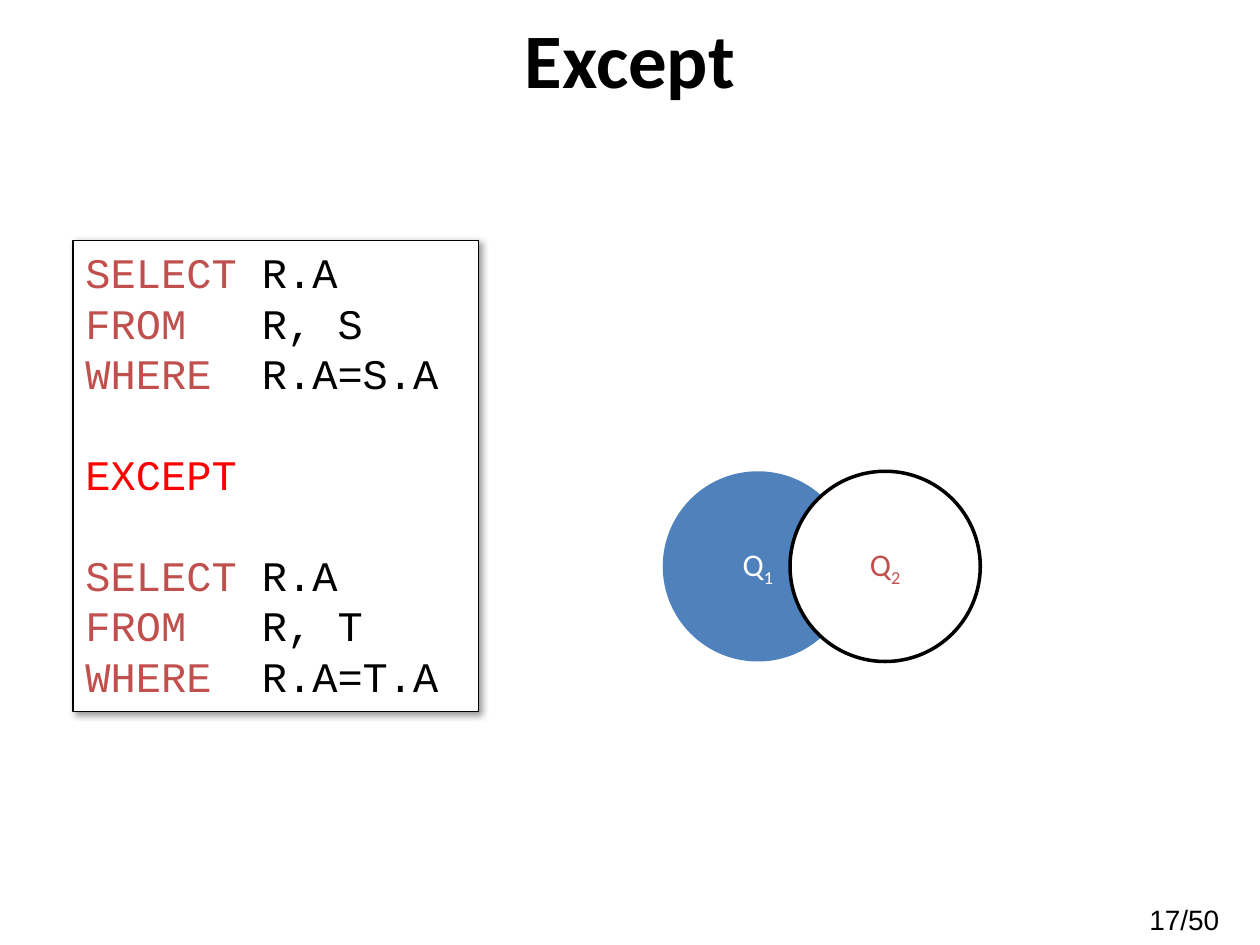
from lxml import etree
from pptx import Presentation
from pptx.dml.color import RGBColor
from pptx.enum.shapes import MSO_SHAPE
from pptx.enum.text import MSO_ANCHOR, PP_ALIGN
from pptx.oxml import parse_xml
from pptx.oxml.ns import nsdecls
from pptx.util import Inches, Pt

COLORS = {
    "black": "000000",
    "white": "FFFFFF",
    "keyword": "C0504D",
    "operator": "FF0000",
    "blue": "4F81BD",
}


def rgb(name):
    return RGBColor.from_string(COLORS[name])


class Deck:
    heading, body, code_font = "Calibri", "Arial", "Courier New"

    def __init__(self, prs):
        self.prs = prs
        self.s = prs.slides.add_slide(prs.slide_layouts[5])

    def font(self, font, name, size, color=None, bold=False):
        font.name, font.size, font.bold = name, Pt(size), bold
        if color:
            font.color.rgb = rgb(color)

    def title(self, text, box):
        sp = self.s.shapes.title
        sp.left, sp.top, sp.width, sp.height = map(Inches, box)
        tf = sp.text_frame
        tf.text = text
        tf.vertical_anchor = MSO_ANCHOR.MIDDLE
        p = tf.paragraphs[0]
        p.alignment = PP_ALIGN.CENTER
        self.font(p.font, self.heading, 44, "black", True)

    def page_number(self, text, box):
        tf = self.s.shapes.add_textbox(*map(Inches, box)).text_frame
        tf.word_wrap = True
        p = tf.paragraphs[0]
        p.text = text
        p.alignment = PP_ALIGN.CENTER
        self.font(p.font, self.body, 16, "black")

    def shape(self, shapes, kind, box, fill, line=None, width=0):
        sp = shapes.add_shape(kind, *map(Inches, box))
        sp.shadow.inherit = False
        sp.fill.solid()
        sp.fill.fore_color.rgb = rgb(fill)
        if line:
            sp.line.color.rgb = rgb(line)
            sp.line.width = Pt(width)
        else:
            sp.line.fill.background()
        return sp

    def drop_shadow(self, sp):
        effects = sp._element.spPr.find("{*}effectLst")
        shadow = parse_xml(
            f'<a:outerShdw {nsdecls("a")} blurRad="{Pt(4)}" dist="{Pt(1.41)}" '
            'dir="2700000" algn="tl" rotWithShape="0"/>')
        color = etree.SubElement(shadow, "{%s}srgbClr" % shadow.nsmap["a"], val=COLORS["black"])
        etree.SubElement(color, "{%s}alpha" % shadow.nsmap["a"], val="40000")
        effects.append(shadow)

    def code(self, lines, box):
        """Each line is a list of (text, colour) runs; an empty list is a blank code line."""
        sp = self.shape(self.s.shapes, MSO_SHAPE.RECTANGLE, box, "white", "black", 0.75)
        self.drop_shadow(sp)
        tf = sp.text_frame
        tf.vertical_anchor = MSO_ANCHOR.TOP
        for i, runs in enumerate(lines):
            p = tf.add_paragraph() if i else tf.paragraphs[0]
            p.alignment = PP_ALIGN.LEFT
            self.font(p.font, self.code_font, 24)
            for text, color in runs:
                r = p.add_run()
                r.text = text
                r.font.color.rgb = rgb(color)

    def circle(self, group, box, index, fill, color, line=None):
        sp = self.shape(group.shapes, MSO_SHAPE.OVAL, box, fill, line, 2)
        tf = sp.text_frame
        tf.vertical_anchor = MSO_ANCHOR.MIDDLE
        p = tf.paragraphs[0]
        p.alignment = PP_ALIGN.CENTER
        self.font(p.font, self.heading, 18, color)
        p.add_run().text = "Q"
        r = p.add_run()
        r.text = index
        r.font._element.set("baseline", "-25000")


def query(table):
    return [
        [("SELECT ", "keyword"), ("R.A", "black")],
        [("FROM", "keyword"), (f"   R, {table}", "black")],
        [("WHERE", "keyword"), (f"  R.A={table}.A", "black")],
    ]


def main():
    prs = Presentation()
    prs.slide_width, prs.slide_height = Inches(10), Inches(7.5)
    deck = Deck(prs)
    deck.title("Except", (0.25, 0.08, 9.5, 0.75))
    deck.page_number("17/50 ", (8.85, 7.11, 1.16, 0.39))
    except_lines = [[], [("EXCEPT", "operator")], []]
    deck.code(query("S") + except_lines + query("T"), (0.58, 1.91, 3.22, 3.74))

    venn = deck.s.shapes.add_group_shape()
    size, left, top, step = 1.51, 5.26, 3.74, 1.01
    deck.circle(venn, (left, top, size, size), "1", "blue", "white")
    deck.circle(venn, (left + step, top, size, size), "2", "white", "keyword", "black")
    prs.save("out.pptx")


if __name__ == "__main__":
    main()
